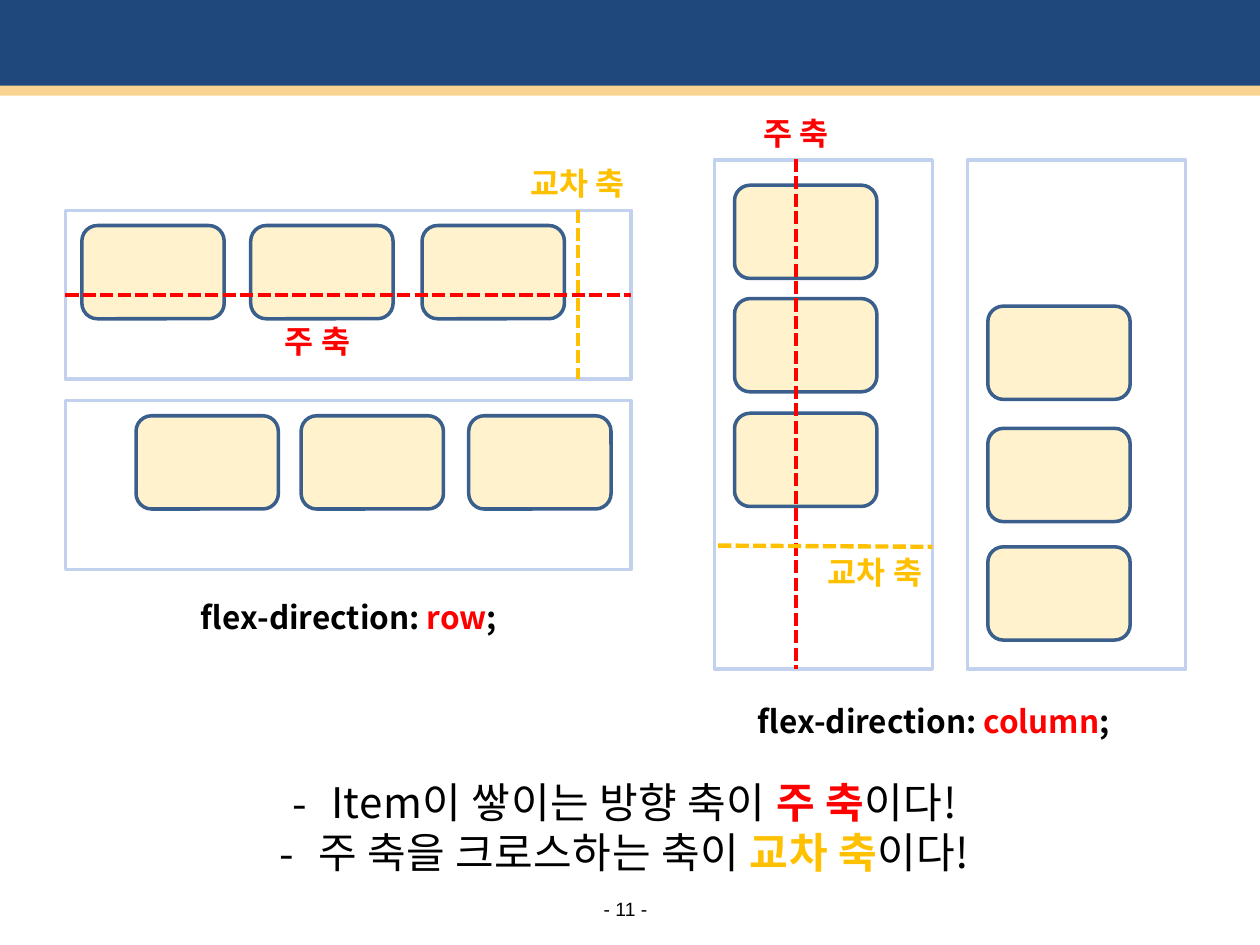
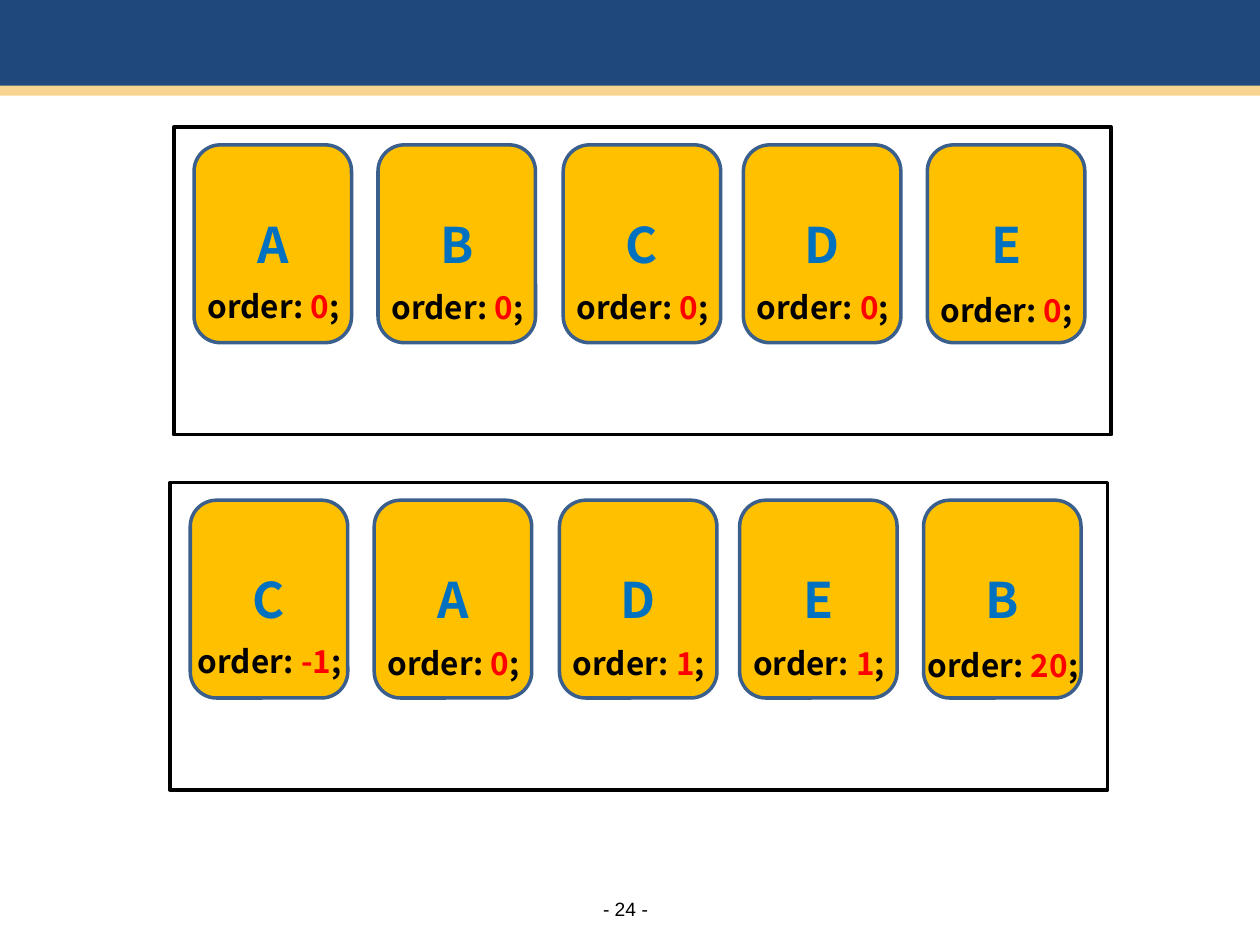
from lxml import etree
from pptx import Presentation
from pptx.dml.color import RGBColor
from pptx.enum.dml import MSO_LINE
from pptx.enum.shapes import MSO_CONNECTOR, MSO_SHAPE
from pptx.enum.text import MSO_ANCHOR, PP_ALIGN
from pptx.oxml.ns import qn
from pptx.util import Inches, Pt

RECT, ROUND = MSO_SHAPE.RECTANGLE, MSO_SHAPE.ROUNDED_RECTANGLE
STRAIGHT, DASH = MSO_CONNECTOR.STRAIGHT, MSO_LINE.SQUARE_DOT
CENTER, MIDDLE = PP_ALIGN.CENTER, MSO_ANCHOR.MIDDLE

NAVY = RGBColor(0x1F, 0x49, 0x7D)
SAND = RGBColor(0xF9, 0xD4, 0x90)
PALE = RGBColor(0xC2, 0xD1, 0xED)
EDGE = RGBColor(0x3A, 0x5F, 0x8C)
GOLD = RGBColor(0xFF, 0xC0, 0x00)
RED = RGBColor(0xFF, 0x00, 0x00)
BLUE = RGBColor(0x00, 0x70, 0xC0)
BLACK = RGBColor(0x00, 0x00, 0x00)
NOTO, ARIAL = "Noto Sans CJK KR", "Arial"


def draw(slide, kind, at, fill=None, line=None):
    shape = slide.shapes.add_shape(kind, *map(Inches, at))
    shape.shadow.inherit = False
    if fill is None:
        shape.fill.background()
    else:
        shape.fill.solid()
        shape.fill.fore_color.rgb = fill
    if line is None:
        shape.line.fill.background()
    else:
        shape.line.color.rgb = line
        shape.line.width = Pt(2)
    return shape


def write(para, parts, size=18, bold=True, font=NOTO):
    """Fill a paragraph from (text, colour) or (text, colour, bold) parts."""
    para.alignment = CENTER
    for text, color, *heavy in parts:
        run = para.add_run()
        run.text = text
        run.font.size = Pt(size)
        run.font.bold = heavy[0] if heavy else bold
        run.font.name = font
        run.font.color.rgb = color
        etree.SubElement(run.font._element, qn("a:ea"), typeface=NOTO)


prs = Presentation()
prs.slide_width, prs.slide_height = Inches(10), Inches(7.5)

# Shared bands and page number
slides = []
for page in (11, 24):
    slide = prs.slides.add_slide(prs.slide_layouts[6])
    slides.append(slide)
    draw(slide, RECT, (0, -0.03, 10, 0.76), NAVY)
    draw(slide, RECT, (0, 0.68, 10, 0.08), SAND)
    foot = slide.shapes.add_textbox(*map(Inches, (4.75, 7.12, 0.43, 0.19)))
    frame = foot.text_frame
    frame.margin_left = frame.margin_right = frame.margin_top = frame.margin_bottom = 0
    frame.word_wrap = False
    frame.vertical_anchor = MIDDLE
    write(frame.paragraphs[0], [(f"- {page} -", BLACK)], 11, False, ARIAL)

axes, order = slides

# Flex containers and their items
rows = ((1.67, (0.65, 1.99, 3.35)), (3.18, (1.08, 2.39, 3.72)))
cols = ((5.67, (1.47, 2.37, 3.28)), (7.68, (2.43, 3.4, 4.34)))
groups = [((0.52, top, 4.49, 1.34), [(x, top + 0.12) for x in xs]) for top, xs in rows]
groups += [((left, 1.27, 1.73, 4.04), [(left + 0.16, y) for y in ys]) for left, ys in cols]
for at, spots in groups:
    draw(axes, RECT, at, line=PALE)
    for x, y in spots:
        item = draw(axes, ROUND, (x, y, 1.13, 0.74), GOLD, EDGE)
        tint = item.fill._xPr.find(qn("a:solidFill"))[0]
        etree.SubElement(tint, qn("a:alpha"), val="20000")

for ends, color in (
    ((0.52, 2.34, 5.01, 2.34), RED),
    ((4.59, 1.67, 4.59, 3.01), GOLD),
    ((6.32, 1.26, 6.32, 5.31), RED),
    ((5.7, 4.33, 7.4, 4.34), GOLD),
):
    axis = axes.shapes.add_connector(STRAIGHT, *map(Inches, ends))
    axis.line.color.rgb = color
    axis.line.width = Pt(2.5)
    axis.line.dash_style = DASH
    etree.SubElement(axis._element.spPr, qn("a:effectLst"))

main, cross = ("주 축", RED), ("교차 축", GOLD)
for x, y, wide, parts in (
    (1.99, 2.51, 1.06, [main]),
    (4.02, 1.25, 1.13, [cross]),
    (5.79, 0.86, 1.06, [main]),
    (6.38, 4.34, 1.13, [cross]),
    (1.23, 4.7, 3.08, [("flex-direction: ", BLACK), ("row", RED), (";", BLACK)]),
    (5.65, 5.52, 3.52, [("flex-direction: ", BLACK), ("column", RED), (";", BLACK)]),
):
    label = axes.shapes.add_textbox(*map(Inches, (x, y, wide, 0.4)))
    label.text_frame.word_wrap = True
    write(label.text_frame.paragraphs[0], parts)

notes = axes.shapes.add_textbox(*map(Inches, (0.74, 6.11, 8.43, 0.91)))
frame = notes.text_frame
frame.word_wrap = True
frame.add_paragraph()
leads = ("Item이 쌓이는 방향 축이 ", "주 축을 크로스하는 축이 ")
for para, lead, term in zip(frame.paragraphs, leads, (main, cross)):
    props = para._p.get_or_add_pPr()
    props.set("marL", str(Inches(0.31)))
    props.set("indent", str(-Inches(0.31)))
    etree.SubElement(props, qn("a:buFont"), typeface=NOTO)
    etree.SubElement(props, qn("a:buChar"), char="-")
    write(para, [(lead, BLACK), (*term, True), ("이다!", BLACK)], 24, False)
    for run in para.runs:
        run.font._element.set("spc", "30")

# Cards before and after sorting by order
lefts = (1.54, 3, 4.47, 5.9, 7.36)
drops = (1.08, 1.09, 1.09, 1.09, 1.11)
for dx, top, names, values in (
    (0, 1.15, "ABCDE", (0, 0, 0, 0, 0)),
    (-0.03, 3.97, "CADEB", (-1, 0, 1, 1, 20)),
):
    draw(order, RECT, (1.38 + dx, top - 0.14, 7.44, 2.44), line=BLACK)
    for left, drop, name, value in zip(lefts, drops, names, values):
        x = left + dx
        card = draw(order, ROUND, (x, top, 1.25, 1.57), GOLD, EDGE)
        card.text_frame.vertical_anchor = MIDDLE
        write(card.text_frame.paragraphs[0], [(name, BLUE)], 28)
        label = order.shapes.add_textbox(*map(Inches, (x - 0.18, top + drop, 1.62, 0.4)))
        label.text_frame.word_wrap = True
        parts = [("order: ", BLACK), (str(value), RED), (";", BLACK)]
        write(label.text_frame.paragraphs[0], parts)

prs.save("out.pptx")
